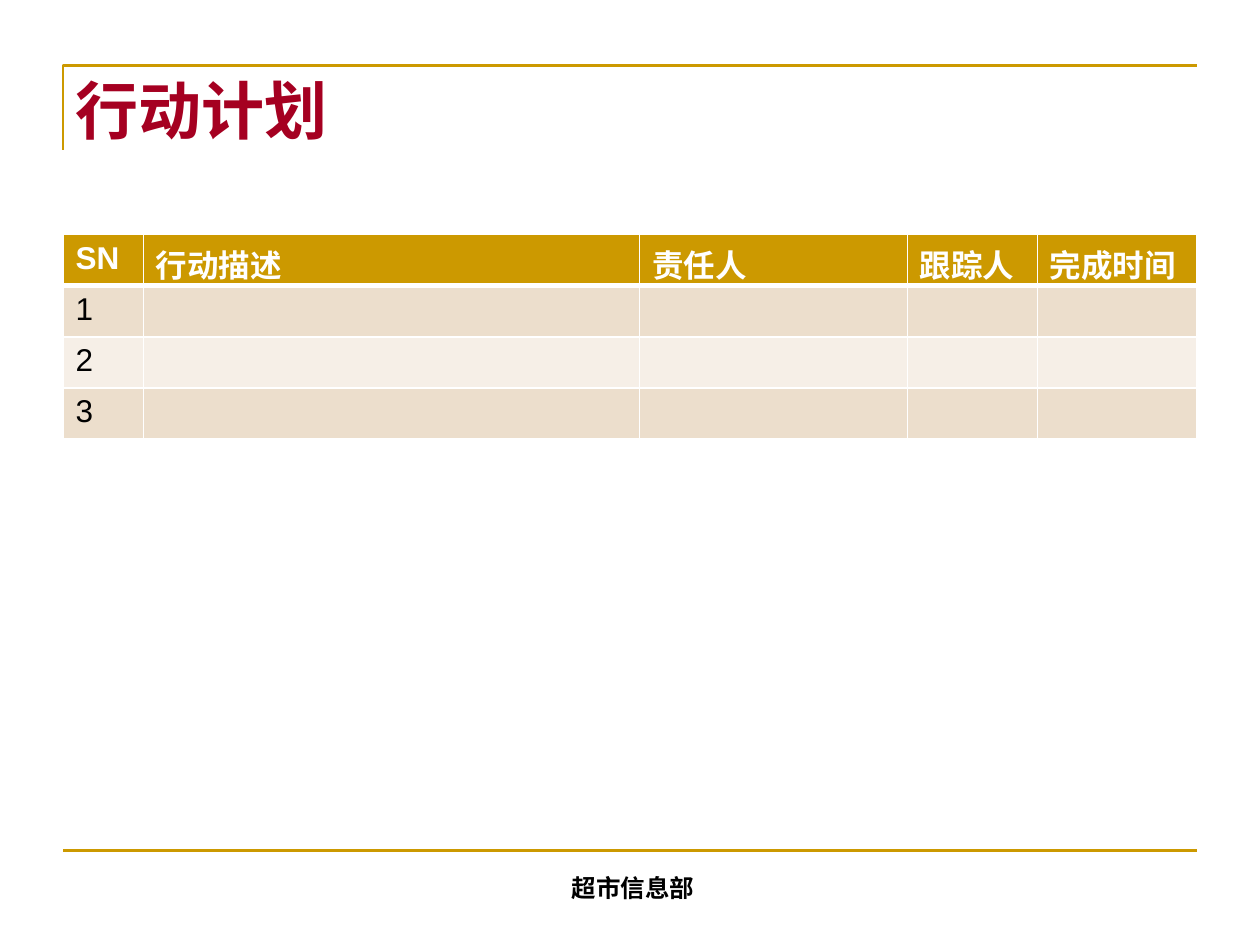
from dataclasses import dataclass

import pptx
import pptx.dml.color
import pptx.enum.shapes
import pptx.enum.text
import pptx.oxml
import pptx.oxml.ns
import pptx.util
from pptx.util import Cm, Pt

GOLD = pptx.dml.color.RGBColor(0xCC, 0x99, 0x00)
CRIMSON = pptx.dml.color.RGBColor(0xA5, 0x00, 0x21)
BLACK = pptx.dml.color.RGBColor(0x00, 0x00, 0x00)
WHITE = pptx.dml.color.RGBColor(0xFF, 0xFF, 0xFF)
BAND_DARK = pptx.dml.color.RGBColor(0xEC, 0xDE, 0xCC)
BAND_LIGHT = pptx.dml.color.RGBColor(0xF6, 0xEF, 0xE7)

LATIN_FONT, CHINESE_FONT = "Arial", "Noto Sans CJK SC"
LEFT, WIDTH = Cm(1.27), Cm(22.86)
RULE_TOP, RULE_BOTTOM = Cm(1.32), Cm(17.15)
ROW_HEIGHT = Cm(1.03)


@dataclass
class Column:
    heading: str
    width: float


COLUMNS = [
    Column("SN", 1.62),
    Column("行动描述", 10),
    Column("责任人", 5.4),
    Column("跟踪人", 2.62),
    Column("完成时间", 3.22),
]
ROW_LABELS = ["1", "2", "3"]


def write_text(frame, text: str, font_name: str, color,
               size: int, bold: bool, align=pptx.enum.text.PP_ALIGN.LEFT) -> None:
    para = frame.paragraphs[0]
    para.alignment = align
    span = para.add_run()
    span.text = text
    for name, value in {"name": font_name, "size": Pt(size), "bold": bold}.items():
        setattr(span.font, name, value)
    span.font.color.rgb = color
    east_asian = pptx.oxml.parse_xml(
        f'<a:ea {pptx.oxml.ns.nsdecls("a")} typeface="{CHINESE_FONT}"/>')
    span.font._element.find(pptx.oxml.ns.qn("a:latin")).addnext(east_asian)


def format_line(shape) -> None:
    shape.line.color.rgb = GOLD
    shape.line.width = Pt(1.5)


def format_cell(cell, fill, top: int, bottom: int) -> None:
    # Borders come before the fill in the cell properties
    properties = cell._tc.get_or_add_tcPr()
    for side, points in {"L": 1, "R": 1, "T": top, "B": bottom}.items():
        properties.append(pptx.oxml.parse_xml(
            f'<a:ln{side} {pptx.oxml.ns.nsdecls("a")} w="{Pt(points)}">'
            f'<a:solidFill><a:srgbClr val="{WHITE}"/></a:solidFill></a:ln{side}>'))
    cell.fill.solid()
    cell.fill.fore_color.rgb = fill


def draw_rules(page) -> None:
    # Corner rule around the title
    builder = page.shapes.build_freeform(LEFT, Cm(3.02))
    builder.add_line_segments([(LEFT, RULE_TOP), (LEFT + WIDTH, RULE_TOP)], close=False)
    corner = builder.convert_to_shape()
    corner.fill.background()
    corner.shadow.inherit = False
    format_line(corner)

    # Footer rule
    rule = page.shapes.add_connector(
        pptx.enum.shapes.MSO_CONNECTOR.STRAIGHT,
        LEFT, RULE_BOTTOM, LEFT + WIDTH, RULE_BOTTOM)
    rule._element.spPr.append(
        pptx.oxml.parse_xml(f'<a:effectLst {pptx.oxml.ns.nsdecls("a")}/>'))
    format_line(rule)


def draw_title(page, text: str) -> None:
    title = page.shapes.title
    place = {"left": LEFT, "top": RULE_TOP, "width": WIDTH, "height": Cm(3.18)}
    for name, value in place.items():
        setattr(title, name, value)
    title.text_frame.auto_size = pptx.enum.text.MSO_AUTO_SIZE.NONE
    title.text_frame.vertical_anchor = pptx.enum.text.MSO_ANCHOR.TOP
    write_text(title.text_frame, text, CHINESE_FONT, CRIMSON, 36, True)


def draw_footer(page, text: str) -> None:
    box = page.shapes.add_textbox(Cm(8.74), Cm(17.48), Cm(8.05), Cm(1.07))
    box.text_frame.word_wrap = True
    write_text(box.text_frame, text, CHINESE_FONT, BLACK, 14, True,
               pptx.enum.text.PP_ALIGN.CENTER)


def draw_plan(page) -> None:
    row_count = len(ROW_LABELS) + 1
    table = page.shapes.add_table(row_count, len(COLUMNS), LEFT, Cm(4.73),
                                  WIDTH, ROW_HEIGHT * row_count).table
    for row in table.rows:
        row.height = ROW_HEIGHT
    for index, column in enumerate(COLUMNS):
        table.columns[index].width = Cm(column.width)
        heading = table.cell(0, index)
        format_cell(heading, GOLD, top=1, bottom=3)
        write_text(heading.text_frame, column.heading, LATIN_FONT, WHITE, 18, True)
        for number in range(1, row_count):
            format_cell(table.cell(number, index),
                        BAND_DARK if number % 2 else BAND_LIGHT,
                        top=3 if number == 1 else 1, bottom=1)
    for number, label in enumerate(ROW_LABELS, start=1):
        write_text(table.cell(number, 0).text_frame, label, LATIN_FONT, BLACK, 18, False)


def main() -> None:
    deck = pptx.Presentation()
    deck.slide_width, deck.slide_height = Cm(25.4), Cm(19.05)
    page = deck.slides.add_slide(deck.slide_layouts.get_by_name("Title Only"))
    draw_rules(page)
    draw_footer(page, "超市信息部")
    draw_title(page, "行动计划")
    draw_plan(page)
    deck.save("out.pptx")


if __name__ == "__main__":
    main()
